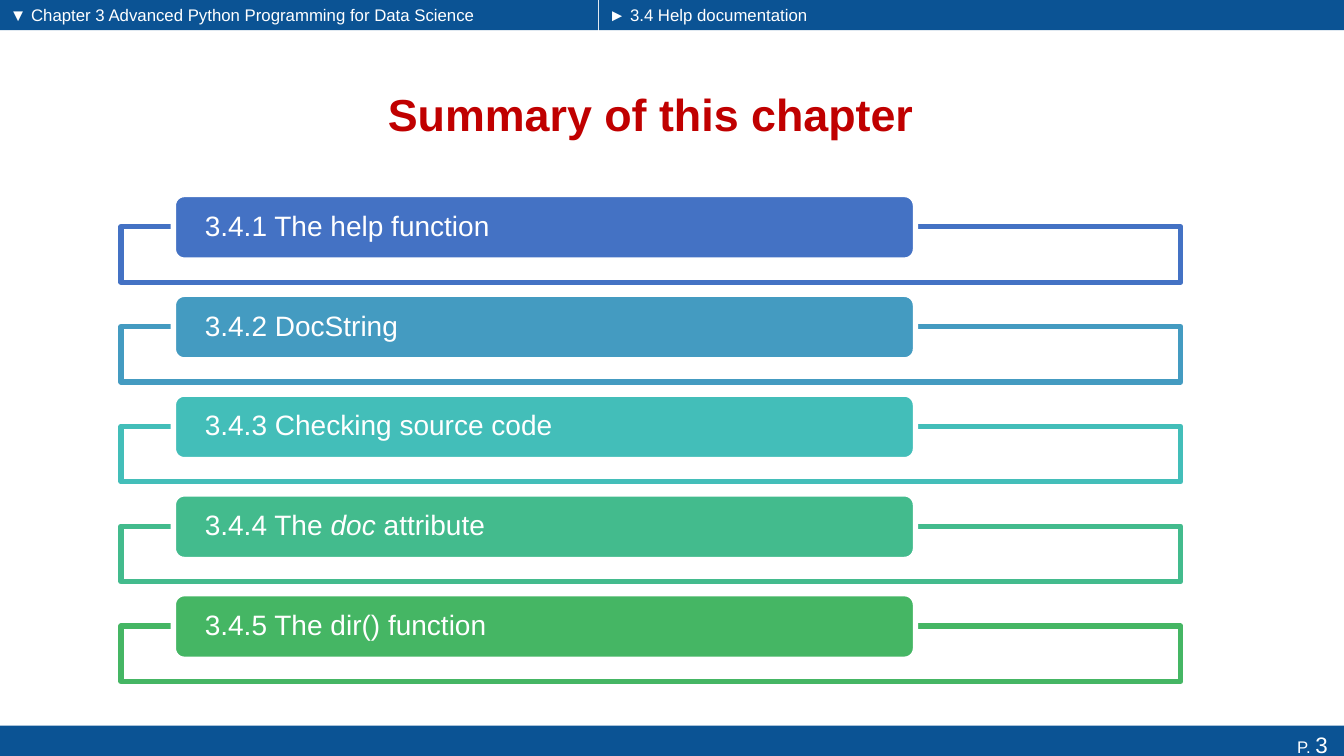
from dataclasses import dataclass

from pptx import Presentation
from pptx.dml.color import RGBColor
from pptx.enum.shapes import MSO_SHAPE
from pptx.enum.text import MSO_ANCHOR, PP_ALIGN
from pptx.util import Inches, Pt


@dataclass(frozen=True)
class Theme:
    font: str = "Arial"
    bar: str = "0B5394"
    title: str = "C00000"
    white: str = "FFFFFF"
    small_size: float = 12
    page_size: float = 16
    section_size: float = 20
    title_size: float = 32
    outline: float = 3.78


THEME = Theme()

# Each section: colour and its (text, italic) runs.
SECTIONS = [
    ("4472C4", [("3.4.1 The help function", False)]),
    ("449BC1", [("3.4.2 DocString", False)]),
    ("43BEB9", [("3.4.3 Checking source code", False)]),
    ("43BB8D", [("3.4.4 The ", False), ("doc ", True), ("attribute", False)]),
    ("45B664", [("3.4.5 The dir() function", False)]),
]
SECTION_TOP = 1.93
SECTION_PITCH = 0.99


def rgb(colour):
    return RGBColor.from_string(colour)


def style_paragraph(para, size, colour=THEME.white, align=PP_ALIGN.LEFT):
    para.alignment = align
    para.font.name = THEME.font
    para.font.size = Pt(size)
    para.font.color.rgb = rgb(colour)


def add_box(slide, kind, left, top, width, height, fill, line=None):
    box = slide.shapes.add_shape(
        kind, Inches(left), Inches(top), Inches(width), Inches(height))
    box.shadow.inherit = False
    box.fill.solid()
    box.fill.fore_color.rgb = rgb(fill)
    if line:
        box.line.color.rgb = rgb(line)
        box.line.width = Pt(THEME.outline)
    else:
        box.line.fill.background()
    return box


def add_label(slide, text, left, top, width, height):
    """Add a text box and return its text frame with the first paragraph filled."""
    box = slide.shapes.add_textbox(
        Inches(left), Inches(top), Inches(width), Inches(height))
    frame = box.text_frame
    frame.word_wrap = True
    frame.paragraphs[0].text = text
    return frame


def add_breadcrumb(slide, text, left, bar_width, text_width):
    add_box(slide, MSO_SHAPE.RECTANGLE, left, 0, bar_width, 0.3, THEME.bar)
    frame = add_label(slide, text, left, 0, text_width, 0.29)
    style_paragraph(frame.paragraphs[0], THEME.small_size)


def add_footer(slide, number):
    bar = add_box(slide, MSO_SHAPE.RECTANGLE, 0, 7.2, 13.33, 0.37, THEME.bar)
    bar.text_frame.vertical_anchor = MSO_ANCHOR.TOP
    para = bar.text_frame.paragraphs[0]
    style_paragraph(para, THEME.small_size, align=PP_ALIGN.RIGHT)
    para.add_run().text = "P. "
    span = para.add_run()
    span.text = f"{number} "
    span.font.size = Pt(THEME.page_size)


def add_title(slide, text):
    frame = add_label(slide, text, 2.51, 0.68, 7.89, 0.9)
    frame.vertical_anchor = MSO_ANCHOR.MIDDLE
    para = frame.paragraphs[0]
    style_paragraph(para, THEME.title_size, THEME.title, PP_ALIGN.CENTER)
    para.font.bold = True


def add_section(slide, top, colour, runs):
    """Add an outlined frame with a coloured heading tab over its upper edge."""
    add_box(slide, MSO_SHAPE.RECTANGLE, 1.2, top + 0.32, 10.51, 0.55,
            THEME.white, colour)
    tab = add_box(slide, MSO_SHAPE.ROUNDED_RECTANGLE, 1.72, top, 7.36, 0.65,
                  colour, THEME.white)
    frame = tab.text_frame
    frame.vertical_anchor = MSO_ANCHOR.MIDDLE
    frame.margin_left = frame.margin_right = Inches(0.28)
    frame.margin_top = frame.margin_bottom = 0
    para = frame.paragraphs[0]
    style_paragraph(para, THEME.section_size)
    para.line_spacing = 0.9
    for text, italic in runs:
        span = para.add_run()
        span.text = text
        if italic:
            span.font.italic = True


def main():
    deck = Presentation()
    deck.slide_width = Inches(13.33)
    deck.slide_height = Inches(7.5)
    slide = deck.slides.add_slide(deck.slide_layouts[6])

    add_breadcrumb(
        slide, "▼ Chapter 3 Advanced Python Programming for Data Science",
        0, 5.93, 4.83)
    add_breadcrumb(slide, "► 3.4 Help documentation", 5.94, 7.39, 2.57)
    add_footer(slide, 3)
    add_title(slide, "Summary of this chapter")
    for index, (colour, runs) in enumerate(SECTIONS):
        add_section(slide, SECTION_TOP + index * SECTION_PITCH, colour, runs)

    deck.save("out.pptx")


if __name__ == "__main__":
    main()
